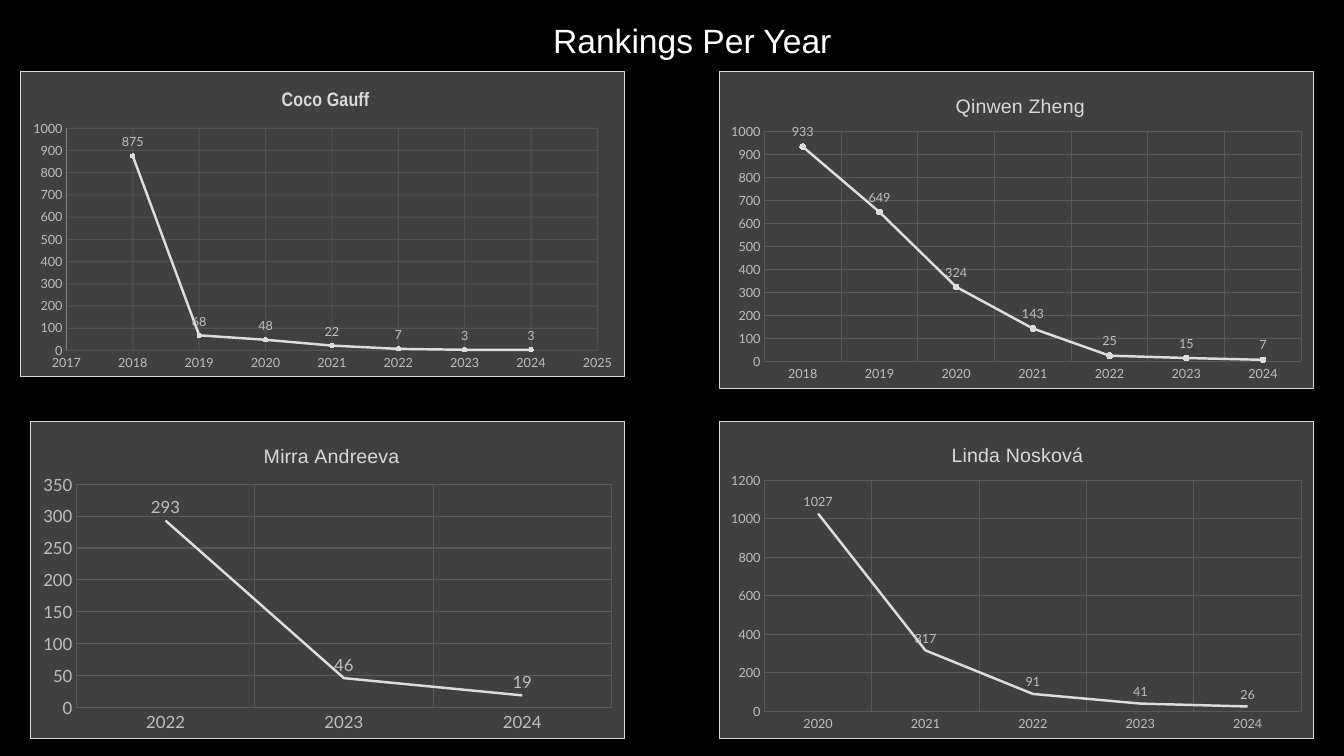
from pptx import Presentation
from pptx.chart.data import CategoryChartData, XyChartData
from pptx.dml.color import RGBColor
from pptx.enum.chart import (XL_CHART_TYPE, XL_LABEL_POSITION,
                             XL_MARKER_STYLE, XL_TICK_MARK)
from pptx.enum.text import MSO_ANCHOR, MSO_AUTO_SIZE, PP_ALIGN
from pptx.oxml import parse_xml
from pptx.oxml.ns import nsdecls, qn
from pptx.util import Pt

PX = 12192000 / 1344
THEME = {
    "back": "000000", "panel": "404040", "edge": "D9D9D9", "white": "FFFFFF",
    "text": "BFBFBF", "grid": "595959", "axis": "808080", "line": "DDDDDD",
    "dot": "EBEBEB", "body": "Lato", "head": 24, "name": 14, "base": 10,
    "thin": 0.75, "thick": 1.75,
}


def style(font, name, size, color, bold=False):
    values = {"name": name, "size": Pt(size), "bold": bold}
    for key, value in values.items():
        setattr(font, key, value)
    font.color.rgb = RGBColor.from_string(THEME[color])


def layout(parent, index, frame, spot, inner=False):
    old = parent.find(qn("c:layout"))
    if old is not None:
        parent.remove(old)
    left, top, width, height = frame
    parts = {"x": (spot[0] - left) / width, "y": (spot[1] - top) / height}
    tags = '<c:layoutTarget val="inner"/>' if inner else ""
    tags += '<c:xMode val="edge"/><c:yMode val="edge"/>'
    if inner:
        parts.update(w=spot[2] / width, h=spot[3] / height)
    tags += "".join(f'<c:{key} val="{part:.4f}"/>' for key, part in parts.items())
    parent.insert(index, parse_xml(
        f'<c:layout {nsdecls("c")}><c:manualLayout>{tags}</c:manualLayout></c:layout>'))


deck = Presentation()
deck.slide_width, deck.slide_height = round(1344 * PX), round(756 * PX)
slide = deck.slides.add_slide(deck.slide_layouts[5])
slide.background.fill.solid()
slide.background.fill.fore_color.rgb = RGBColor.from_string(THEME["back"])

title = slide.shapes.title
for key, size in {"left": 543, "top": 15, "width": 301, "height": 50}.items():
    setattr(title, key, round(size * PX))
frame = title.text_frame
frame.text = "Rankings Per Year"
for key, value in {"word_wrap": False, "auto_size": MSO_AUTO_SIZE.SHAPE_TO_FIT_TEXT,
                   "vertical_anchor": MSO_ANCHOR.MIDDLE}.items():
    setattr(frame, key, value)
frame.paragraphs[0].alignment = PP_ALIGN.LEFT
style(frame.paragraphs[0].runs[0].font, "Arial", THEME["head"], "white")

charts = [
    {"name": "Qinwen Zheng", "kind": XL_CHART_TYPE.LINE_MARKERS, "start": 2018,
     "ranks": [933, 649, 324, 143, 25, 15, 7], "top": 1000, "step": 100,
     "box": (719, 71, 595, 318), "plot": (764, 131, 538, 231), "head": (952, 89),
     "size": 9, "dot": 4, "font": "Arial"},
    {"name": "Mirra Andreeva", "kind": XL_CHART_TYPE.LINE_STACKED, "start": 2022,
     "ranks": [293, 46, 19], "top": 350, "step": 50,
     "box": (30, 421, 595, 318), "plot": (76, 484, 536, 224), "head": (260, 439),
     "size": 12, "dot": 0, "font": "Arial"},
    {"name": "Linda Nosková", "kind": XL_CHART_TYPE.LINE, "start": 2020,
     "ranks": [1027, 317, 91, 41, 26], "top": 1200, "step": 200,
     "box": (719, 421, 595, 318), "plot": (764, 480, 538, 232), "head": (948, 438),
     "size": 9, "dot": 0, "font": "Arial"},
    {"name": "Coco Gauff", "kind": XL_CHART_TYPE.XY_SCATTER_LINES, "start": 2018,
     "ranks": [875, 68, 48, 22, 7, 3, 3], "top": 1000, "step": 100,
     "box": (20, 71, 605, 306), "plot": (66, 128, 532, 223), "head": (278, 86),
     "size": 9, "dot": 3, "font": "Arial Narrow"},
]

for item in charts:
    xy = item["kind"] == XL_CHART_TYPE.XY_SCATTER_LINES
    ranks, box = item["ranks"], item["box"]
    years = range(item["start"], item["start"] + len(ranks))
    if xy:
        data = XyChartData()
        row = data.add_series("Series 1")
        for year, rank in zip(years, ranks):
            row.add_data_point(year, rank)
    else:
        data = CategoryChartData()
        data.categories = [str(year) for year in years]
        data.add_series("Series 1", ranks)
    chart = slide.shapes.add_chart(
        item["kind"], *[round(side * PX) for side in box], data).chart
    style(chart.font, THEME["body"], THEME["base"], "white")
    chart.has_legend = False
    chart.has_title = True
    head = chart.chart_title
    head.text_frame.text = item["name"]
    style(head.text_frame.paragraphs[0].runs[0].font, item["font"],
          THEME["name"], "edge", xy)
    layout(head.element, 1, box, item["head"])
    root = chart.element.find(qn("c:chart"))
    layout(root.find(qn("c:plotArea")), 0, box, item["plot"], True)
    root.addnext(parse_xml(
        f'<c:spPr {nsdecls("c", "a")}><a:solidFill><a:srgbClr val="{THEME["panel"]}"/>'
        f'</a:solidFill><a:ln w="{Pt(THEME["thin"])}"><a:solidFill>'
        f'<a:srgbClr val="{THEME["edge"]}"/></a:solidFill></a:ln></c:spPr>'))

    for axis in (chart.category_axis, chart.value_axis):
        for key, value in {"has_major_gridlines": True, "has_minor_gridlines": False,
                           "major_tick_mark": XL_TICK_MARK.NONE,
                           "minor_tick_mark": XL_TICK_MARK.NONE}.items():
            setattr(axis, key, value)
        style(axis.tick_labels.font, THEME["body"], item["size"], "text")
        axis.format.line.fill.background()
        grid = axis.major_gridlines.format.line
        grid.width = Pt(THEME["thin"])
        grid.color.rgb = RGBColor.from_string(THEME["grid"])
        if xy:
            for color in axis.major_gridlines.format.line.fill._xPr.iter(qn("a:srgbClr")):
                color.append(parse_xml(f'<a:alpha {nsdecls("a")} val="75000"/>'))
    scale = {"minimum_scale": 0, "maximum_scale": item["top"], "major_unit": item["step"]}
    for key, value in scale.items():
        setattr(chart.value_axis, key, value)
    if xy:
        span = {"minimum_scale": 2017, "maximum_scale": 2025, "major_unit": 1}
        for key, value in span.items():
            setattr(chart.category_axis, key, value)
        edge = chart.value_axis.format.line
        edge.width = Pt(THEME["thin"])
        edge.color.rgb = RGBColor.from_string(THEME["axis"])

    plot = chart.plots[0]
    plot.vary_by_categories = False
    line = plot.series[0]
    if not xy:
        line.smooth = False
    line.format.line.width = Pt(THEME["thick"])
    line.format.line.color.rgb = RGBColor.from_string(THEME["line"])
    if item["dot"]:
        line.marker.style = XL_MARKER_STYLE.CIRCLE
        line.marker.size = item["dot"]
        line.marker.format.fill.solid()
        line.marker.format.fill.fore_color.rgb = RGBColor.from_string(THEME["dot"])
        line.marker.format.line.color.rgb = RGBColor.from_string(THEME["dot"])
    else:
        line.marker.style = XL_MARKER_STYLE.NONE
    for spot in range(len(ranks)):
        label = line.points[spot].data_label
        style(label.font, THEME["body"], item["size"], "text")
        label.position = XL_LABEL_POSITION.ABOVE

deck.save("out.pptx")
